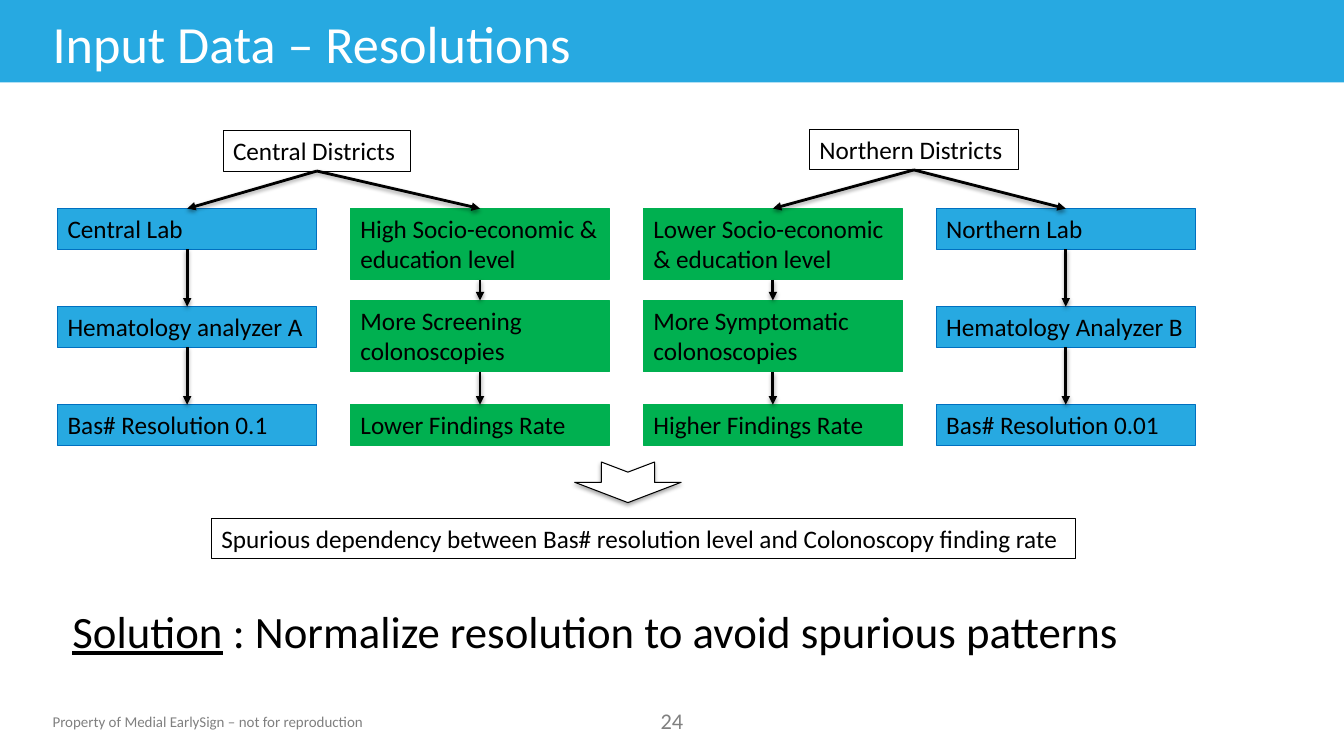
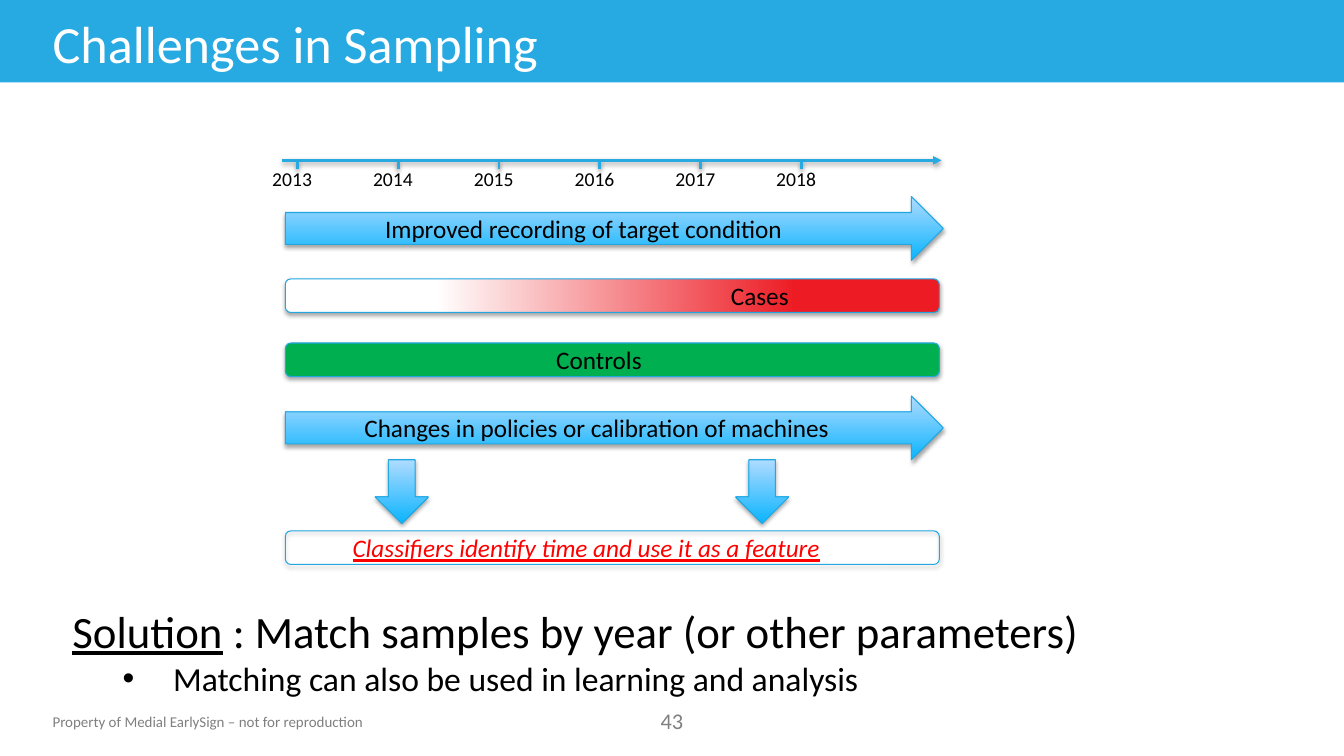
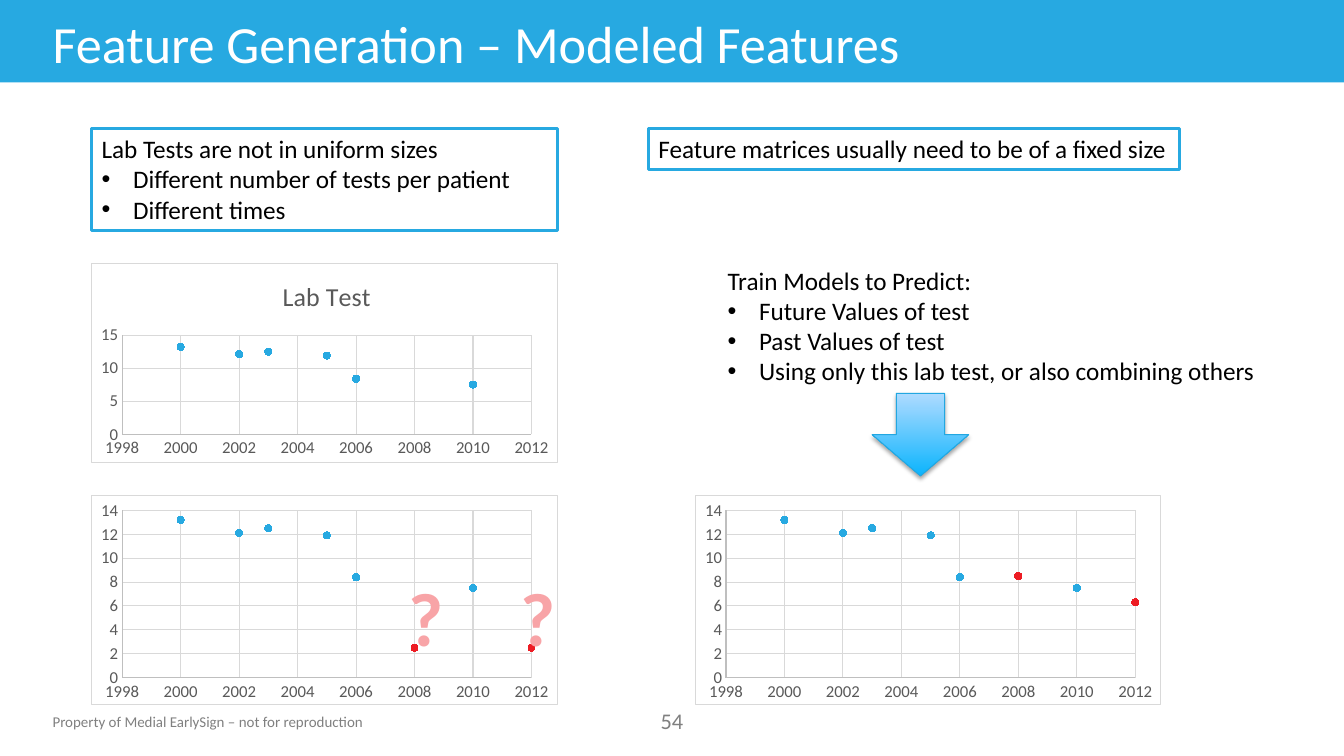
from dataclasses import dataclass

from lxml import etree
from pptx import Presentation
from pptx.chart.data import XyChartData
from pptx.dml.color import RGBColor
from pptx.enum.chart import XL_CHART_TYPE, XL_MARKER_STYLE, XL_TICK_MARK
from pptx.enum.shapes import MSO_CONNECTOR, MSO_SHAPE
from pptx.enum.text import MSO_ANCHOR, PP_ALIGN
from pptx.oxml import parse_xml
from pptx.oxml.ns import nsdecls, qn
from pptx.util import Pt

RECT = MSO_SHAPE.RECTANGLE
ROUNDED = MSO_SHAPE.ROUNDED_RECTANGLE
RIGHT_ARROW = MSO_SHAPE.RIGHT_ARROW
DOWN_ARROW = MSO_SHAPE.DOWN_ARROW
NOTCHED_ARROW = MSO_SHAPE.NOTCHED_RIGHT_ARROW
STRAIGHT = MSO_CONNECTOR.STRAIGHT
SCATTER = XL_CHART_TYPE.XY_SCATTER
CIRCLE = XL_MARKER_STYLE.CIRCLE
NO_TICKS = XL_TICK_MARK.NONE
LEFT, CENTER = PP_ALIGN.LEFT, PP_ALIGN.CENTER
TOP, MIDDLE = MSO_ANCHOR.TOP, MSO_ANCHOR.MIDDLE

FONT = "Calibri"
BLACK, WHITE, GRAY = "000000", "FFFFFF", "808080"
BLUE, DARK_BLUE, EDGE_BLUE = "27A9E1", "0070C0", "22A7E1"
GREEN, RED, BRIGHT_RED, PINK = "00B050", "ED1C24", "FF0000", "F8A4A7"
AXIS_TEXT, AXIS_LINE, GRID = "595959", "BFBFBF", "D9D9D9"
BLUE_FADE = (((0, "0BB4FD"), (1, "AFDBFF")), 90)
CASES_FADE = (((0.23, WHITE), (0.78, RED)), 0)
TEST_YEARS = (2000, 2002, 2003, 2005, 2006, 2010, 2012, 2008)


@dataclass
class Line:
    """One paragraph: its runs with their formats, and its bullet indent."""
    runs: list
    indent: float = 0
    level: int = 0


def color(value):
    """Turn a hex string into a colour."""
    return RGBColor.from_string(value)


def box(left, top, width, height):
    """Turn four point values into lengths."""
    return [Pt(value) for value in (left, top, width, height)]


def bullet(text, indent=22.5, level=0, **style):
    """Describe a bulleted paragraph."""
    return Line([(text, style)], indent, level)


def set_bullet(paragraph, line):
    """Give a paragraph a bullet with a hanging indent."""
    paragraph.level = line.level
    properties = paragraph._p.get_or_add_pPr()
    properties.set("marL", str(Pt(line.indent * (line.level + 1))))
    properties.set("indent", str(-Pt(line.indent)))
    etree.SubElement(properties, qn("a:buFont"), typeface="Arial")
    etree.SubElement(properties, qn("a:buChar"), char="•")


def write(frame, content, size=18, ink=BLACK, align=LEFT, anchor=TOP, **style):
    """Fill a text frame with a string or a list of lines."""
    frame.word_wrap = True
    frame.vertical_anchor = anchor
    lines = [Line([(content, {})])] if isinstance(content, str) else content
    for index, line in enumerate(lines):
        paragraph = frame.paragraphs[0] if index == 0 else frame.add_paragraph()
        paragraph.alignment = align
        if line.indent:
            set_bullet(paragraph, line)
        for text, extra in line.runs:
            run = paragraph.add_run()
            run.text = text
            formats = {"name": FONT, "size": Pt(size), **style, **extra}
            for name, value in formats.items():
                setattr(run.font, name, value)
            run.font.color.rgb = color(ink)


def add_text(slide, place, content, **style):
    """Add a text box."""
    write(slide.shapes.add_textbox(*box(*place)).text_frame, content, **style)


def add_glow(effects, opacity, distance):
    """Put a soft shadow below into an effect list."""
    shadow = etree.SubElement(effects, qn("a:outerShdw"), blurRad=str(Pt(3.1)),
                              dist=str(Pt(distance)), dir="5400000", rotWithShape="0")
    black = etree.SubElement(shadow, qn("a:srgbClr"), val=BLACK)
    etree.SubElement(black, qn("a:alpha"), val=str(opacity * 1000))


def add_figure(slide, kind, place, fill=None, edge=None, width=0.75, shadow=False):
    """Add a preset shape with a plain, graded or empty fill."""
    figure = slide.shapes.add_shape(kind, *box(*place))
    if fill is None:
        figure.fill.background()
    elif isinstance(fill, str):
        figure.fill.solid()
        figure.fill.fore_color.rgb = color(fill)
    else:
        stops, angle = fill
        figure.fill.gradient()
        figure.fill.gradient_angle = angle
        for stop, (position, tone) in zip(figure.fill.gradient_stops, stops):
            stop.position = position
            stop.color.rgb = color(tone)
    if edge:
        figure.line.color.rgb = color(edge)
        figure.line.width = Pt(width)
    else:
        figure.line.fill.background()
    figure.shadow.inherit = False
    if shadow:
        add_glow(figure.element.spPr.find(qn("a:effectLst")), 35, 1.8)
    return figure


def add_label(slide, place, content, fill=None, edge=BLACK, width=0.75):
    """Add a bordered box holding text."""
    write(add_figure(slide, RECT, place, fill, edge, width).text_frame, content)


def add_line(slide, start, end, ink=BLACK, arrow=True):
    """Add a straight line, with an arrowhead at its end if wanted."""
    line = slide.shapes.add_connector(STRAIGHT, *box(*start, *end))
    line.line.color.rgb = color(ink)
    line.line.width = Pt(2)
    properties = line.element.spPr
    if arrow:
        etree.SubElement(properties.find(qn("a:ln")), qn("a:tailEnd"), type="triangle")
    add_glow(etree.SubElement(properties, qn("a:effectLst")), 38, 1.6)


def manual_layout(inner=False, **fractions):
    """Build a chart layout from fractions of the chart area."""
    target = '<c:layoutTarget val="inner"/>' if inner else ""
    modes = "".join(f'<c:{axis}Mode val="edge"/>' for axis in "xy")
    sizes = "".join(f'<c:{name} val="{value}"/>' for name, value in fractions.items())
    return parse_xml(f'<c:layout {nsdecls("c")}><c:manualLayout>{target}{modes}{sizes}'
                     "</c:manualLayout></c:layout>")


def replace_layout(parent, layout, index):
    """Swap the layout of a chart part."""
    for old in parent.findall(qn("c:layout")):
        parent.remove(old)
    parent.insert(index, layout)


def style_axis(axis, low, high, step):
    """Scale an axis and set its lines and labels."""
    scale = {"minimum_scale": low, "maximum_scale": high, "major_unit": step,
             "major_tick_mark": NO_TICKS, "minor_tick_mark": NO_TICKS,
             "has_major_gridlines": True}
    for name, value in scale.items():
        setattr(axis, name, value)
    for line, ink in ((axis.format.line, AXIS_LINE), (axis.major_gridlines.format.line, GRID)):
        line.color.rgb = color(ink)
        line.width = Pt(0.75)
    font = axis.tick_labels.font
    font.name, font.size = FONT, Pt(12)
    font.color.rgb = color(AXIS_TEXT)


def style_marker(marker, ink):
    """Draw a marker as a small filled circle."""
    marker.style, marker.size = CIRCLE, 5
    marker.format.fill.solid()
    marker.format.fill.fore_color.rgb = color(ink)
    marker.format.line.color.rgb = color(ink)


def add_scatter(slide, place, groups, high, step, plot_top, plot_height, title=None):
    """Add a scatter chart of test values by year."""
    data = XyChartData()
    for index, (values, _) in enumerate(groups, 1):
        series = data.add_series(f"Series {index}")
        for year, value in zip(TEST_YEARS, values):
            series.add_data_point(year, value)
    chart = slide.shapes.add_chart(SCATTER, *box(*place), data).chart
    for gap in chart.element.xpath("//c:yVal//c:pt[c:v='None']"):
        gap.getparent().remove(gap)
    chart.has_legend = False
    chart.font.name, chart.font.size = FONT, Pt(10)
    chart.font.color.rgb = color(BLACK)
    chart.has_title = bool(title)
    if title:
        write(chart.chart_title.text_frame, title, size=18.6, ink=AXIS_TEXT, align=CENTER,
              bold=False)
        replace_layout(chart.element.xpath("c:chart/c:title")[0],
                       manual_layout(x=0.4, y=0.05), 1)
    style_axis(chart.category_axis, 1998, 2012, 2)
    style_axis(chart.value_axis, 0, high, step)
    plot = chart.plots[0]
    plot.vary_by_categories = False
    measured_values, measured_ink = groups[0]
    for series, (values, ink) in zip(plot.series, groups):
        series.format.line.fill.background()
        style_marker(series.marker, ink)
        for index, (value, measured) in enumerate(zip(values, measured_values)):
            if ink != measured_ink and value is not None and value == measured:
                style_marker(series.points[index].marker, measured_ink)
    replace_layout(chart.element.xpath("c:chart/c:plotArea")[0],
                   manual_layout(True, x=0.065, y=plot_top, w=0.88, h=plot_height), 0)
    chart.element.find(qn("c:chart")).addnext(parse_xml(
        f'<c:spPr {nsdecls("c", "a")}><a:solidFill><a:srgbClr val="{WHITE}"/></a:solidFill>'
        f'<a:ln w="{Pt(0.75)}"><a:solidFill><a:srgbClr val="{GRID}"/></a:solidFill></a:ln>'
        "</c:spPr>"))


def start_slide(deck, title, number):
    """Add a slide with its band, title, footer and number."""
    slide = deck.slides.add_slide(deck.slide_layouts[6])
    add_figure(slide, RECT, (0, -0.5, 960, 59.4), BLUE)
    add_text(slide, (30.5, 4.3, 800, 52.5), title, size=37.3, ink=WHITE, anchor=MIDDLE)
    add_text(slide, (30.5, 505.4, 260, 20), "Property of Medial EarlySign – not for reproduction",
             size=10.7, ink=GRAY)
    add_text(slide, (451, 501.6, 58, 26.5), str(number), size=16, ink=GRAY, align=CENTER)
    return slide


def add_solution(slide, text, *details):
    """Add the closing solution statement."""
    statement = Line([("Solution", {"underline": True}), (f" : {text}", {})])
    add_text(slide, (44.6, 427.7, 830, 75), [statement, *details], size=32)


def resolutions_slide(deck):
    """Show how district differences lead to a spurious dependency."""
    slide = start_slide(deck, "Input Data – Resolutions", 24)
    lab_rows = ((149, 29), (219, 29), (289, 29))
    social_rows = ((149, 51), (214.6, 51), (289, 29))
    chains = (
        (lab_rows, BLUE, DARK_BLUE,
         ("Central Lab", "Hematology analyzer A", "Bas# Resolution 0.1")),
        (social_rows, GREEN, GREEN,
         ("High Socio-economic & education level", "More Screening colonoscopies",
          "Lower Findings Rate")),
        (social_rows, GREEN, GREEN,
         ("Lower Socio-economic & education level", "More Symptomatic colonoscopies",
          "Higher Findings Rate")),
        (lab_rows, BLUE, DARK_BLUE,
         ("Northern Lab", "Hematology Analyzer B", "Bas# Resolution 0.01")),
    )
    districts = (("Central Districts", 159.4, 93.2, 134), ("Northern Districts", 578.3, 92.4, 149))
    for name, left, top, width in districts:
        add_label(slide, (left, top, width, 29), name)
    for column, (rows, fill, edge, texts) in enumerate(chains):
        left = 41.2 + 209.2 * column
        middle = left + 92.5
        _, district_left, district_top, district_width = districts[column // 2]
        start = (district_left + district_width / 2, district_top + 29)
        for (top, height), text in zip(rows, texts):
            add_label(slide, (left, top, 185, height), text, fill, edge)
            add_line(slide, start, (middle, top))
            start = (middle, top + height)
    add_label(slide, (151, 370.3, 617, 29),
              "Spurious dependency between Bas# resolution level and Colonoscopy finding rate")
    conclusion = add_figure(slide, NOTCHED_ARROW, (434, 306.5, 29, 76), WHITE, BLACK, shadow=True)
    conclusion.rotation = 90
    add_solution(slide, "Normalize resolution to avoid spurious patterns")


def sampling_slide(deck):
    """Show how changes over time distort sampling."""
    slide = start_slide(deck, "Challenges in Sampling", 43)
    add_line(slide, (201.6, 114.5), (672.5, 114.5), BLUE)
    for index in range(6):
        offset = 72 * index
        add_line(slide, (212.4 + offset, 115), (212.4 + offset, 121), BLUE, arrow=False)
        add_text(slide, (187.4 + offset, 115.4, 50, 24), str(2013 + index), size=14)
    for kind, place, fill in (
        (RIGHT_ARROW, (203.8, 140.4, 470, 45.6), BLUE_FADE),
        (RIGHT_ARROW, (203.8, 282.8, 470, 45.6), BLUE_FADE),
        (ROUNDED, (203.8, 199.2, 467.2, 24), CASES_FADE),
        (ROUNDED, (203.8, 245, 467.2, 24), GREEN),
        (DOWN_ARROW, (268, 328.4, 38, 45.6), BLUE_FADE),
        (DOWN_ARROW, (525.4, 328.4, 38, 45.6), BLUE_FADE),
        (ROUNDED, (203.8, 379.2, 467.2, 24), None),
    ):
        add_figure(slide, kind, place, fill, EDGE_BLUE, shadow=True)
    for left, top, width, text in (
        (268, 148.6, 320, "Improved recording of target condition"),
        (253.2, 291, 380, "Changes in policies or calibration of machines"),
        (515, 196.8, 70, "Cases"),
        (390.2, 242.6, 90, "Controls"),
    ):
        add_text(slide, (left, top, width, 29), text)
    add_text(slide, (244.8, 376.8, 380, 29), "Classifiers identify time and use it as a feature",
             ink=BRIGHT_RED, italic=True, underline=True)
    add_solution(slide, "Match samples by year (or other parameters)",
                 bullet("Matching can also be used in learning and analysis", 36, 1, size=Pt(24)))


def features_slide(deck):
    """Show how models fill in missing lab tests."""
    slide = start_slide(deck, "Feature Generation – Modeled Features", 54)
    tests = [13.2, 12.1, 12.5, 11.9, 8.4, 7.5]
    measured = (tests + [None] * 2, BLUE)
    unknown = ([None] * 6 + [2.5, 2.5], RED)
    predicted = ([None] * 5 + [7.5, 6.3, 8.5], RED)
    add_scatter(slide, (65.3, 188, 333, 142.5), [(tests, BLUE)], 15, 5, 0.36, 0.5, "Lab Test")
    for left, added in ((65.3, unknown), (496.6, predicted)):
        add_scatter(slide, (left, 353.8, 333, 150), [measured, added], 14, 2, 0.07, 0.8)
    for center in (304, 384):
        add_text(slide, (center - 30, 404, 60, 73), "?", size=54, ink=PINK, align=CENTER, bold=True)
    add_text(slide, (512.6, 185.8, 420, 94.5), [
        Line([("Train Models to Predict:", {})]),
        bullet("Future Values of test"),
        bullet("Past Values of test"),
        bullet("Using only this lab test, or also combining others"),
    ])
    add_figure(slide, DOWN_ARROW, (623, 281, 69, 59), BLUE_FADE, EDGE_BLUE, shadow=True)
    add_label(slide, (65.5, 91.8, 333, 73), [
        Line([("Lab Tests are not in uniform sizes", {})]),
        bullet("Different number of tests per patient"),
        bullet("Different times"),
    ], WHITE, BLUE, 2)
    add_label(slide, (463.2, 91.8, 379.4, 29), "Feature matrices usually need to be of a fixed size",
              WHITE, BLUE, 2)


def main():
    """Build and save the deck."""
    deck = Presentation()
    deck.slide_width, deck.slide_height = Pt(960), Pt(540)
    resolutions_slide(deck)
    sampling_slide(deck)
    features_slide(deck)
    deck.save("out.pptx")


if __name__ == "__main__":
    main()
